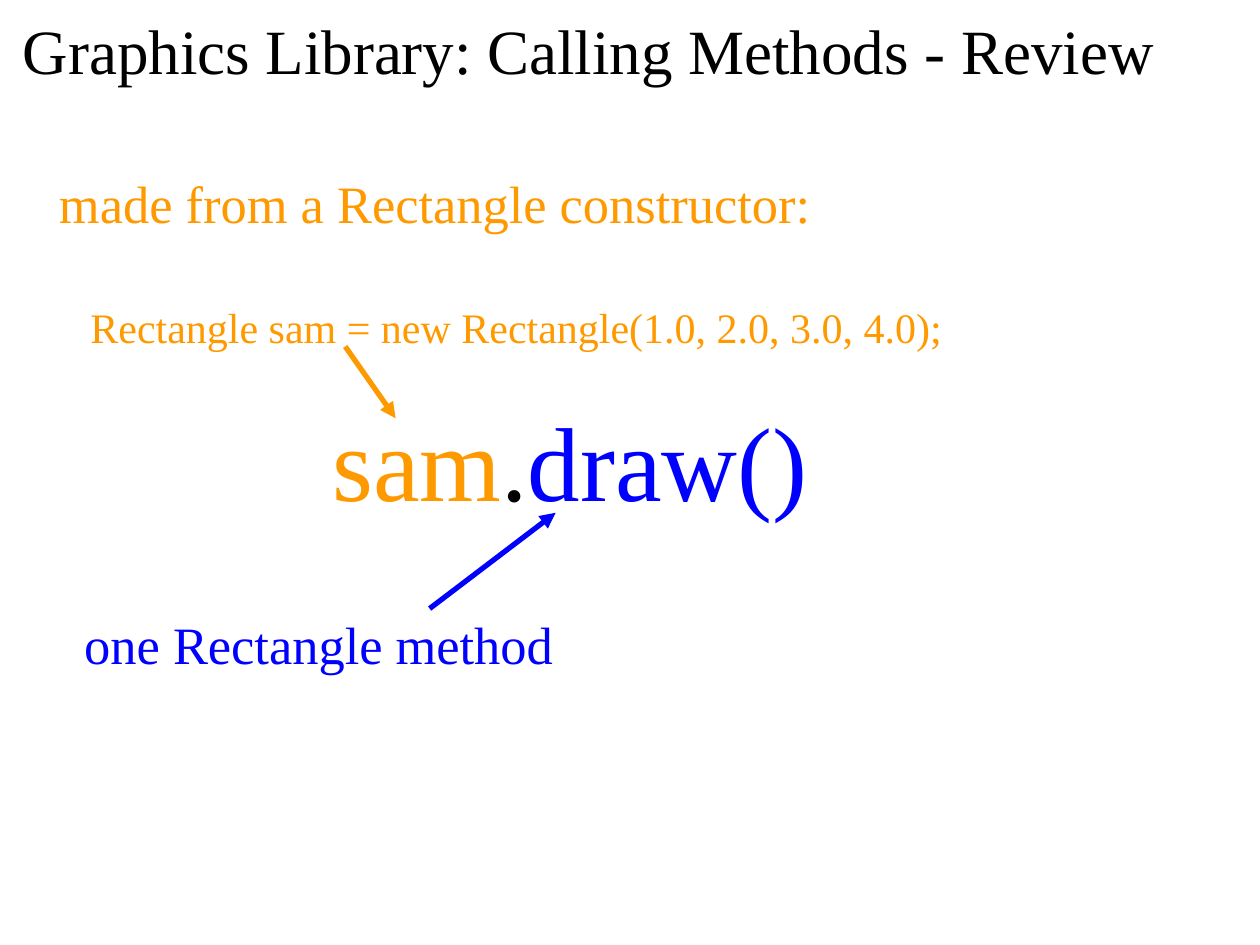
from lxml import etree
from pptx import Presentation
from pptx.dml.color import RGBColor
from pptx.enum import shapes, text
from pptx.oxml.ns import qn
from pptx.util import Inches, Pt

COLORS = {"title": "000000", "object": "FF9900", "method": "0000FF"}


class SlideBuilder:
    font = "Times New Roman"
    line_spacing = 1.09
    arrow_width = Pt(3)

    def __init__(self, presentation):
        layout = presentation.slide_layouts.get_by_name("Title Only")
        self.slide = presentation.slides.add_slide(layout)

    def set_frame(self, shape, box, inset):
        shape.left, shape.top, shape.width, shape.height = map(Inches, box)
        frame = shape.text_frame
        frame.word_wrap = True
        frame.auto_size = text.MSO_AUTO_SIZE.NONE
        frame.vertical_anchor = text.MSO_ANCHOR.TOP
        frame.margin_left = frame.margin_right = Inches(0.1)
        frame.margin_top = frame.margin_bottom = Inches(inset)
        return frame

    def add_runs(self, paragraph, size, runs):
        paragraph.alignment = text.PP_ALIGN.LEFT
        paragraph.line_spacing = self.line_spacing
        for words, color in runs:
            run = paragraph.add_run()
            run.text = words
            run.font.name = self.font
            run.font.size = Pt(size)
            run.font.color.rgb = RGBColor.from_string(COLORS[color])

    def title(self, box, size, words):
        frame = self.set_frame(self.slide.shapes.title, box, 0.05)
        self.add_runs(frame.paragraphs[0], size, [(words, "title")])

    def text_box(self, box, size, runs):
        shape = self.slide.shapes.add_textbox(*map(Inches, box))
        frame = self.set_frame(shape, box, 0.1)
        self.add_runs(frame.paragraphs[0], size, runs)
        return frame

    def code_line(self, frame, size, words, color):
        paragraph = frame.add_paragraph()
        properties = paragraph._p.get_or_add_pPr()
        properties.set("marL", str(Inches(0.25)))
        paragraph.space_before = Pt(36)
        self.add_runs(paragraph, size, [(words, color)])

    def arrow(self, start, end, color):
        connector = self.slide.shapes.add_connector(
            shapes.MSO_CONNECTOR.STRAIGHT, *map(Inches, start + end))
        connector.line.width = self.arrow_width
        connector.line.color.rgb = RGBColor.from_string(COLORS[color])
        line = connector.line._get_or_add_ln()
        etree.SubElement(line, qn("a:tailEnd"), type="triangle")
        etree.SubElement(connector._element.spPr, qn("a:effectLst"))


def main():
    presentation = Presentation()
    presentation.slide_width = Inches(10)
    presentation.slide_height = Inches(7.5)
    builder = SlideBuilder(presentation)

    # Title
    builder.title((0.08, -0.01, 9.91, 1.01), 36,
                  "Graphics Library: Calling Methods - Review")

    # Method call in the centre
    builder.text_box((2.54, 2.96, 4.41, 0.94), 60,
                     [("sam", "object"), (".", "title"), ("draw()", "method")])

    # Explanations of the object and the method
    constructor = builder.text_box(
        (0.37, 1.21, 7.27, 0.94), 30,
        [("made from a Rectangle constructor:", "object")])
    builder.code_line(constructor, 24,
                      "Rectangle sam = new Rectangle(1.0, 2.0, 3.0, 4.0);",
                      "object")
    builder.text_box((0.57, 4.71, 7.08, 0.94), 30,
                     [("one Rectangle method", "method")])

    # Arrows to the parts of the call
    builder.arrow((2.74, 2.75), (3.14, 3.32), "object")
    builder.arrow((3.41, 4.83), (4.41, 4.07), "method")

    presentation.save("out.pptx")


if __name__ == "__main__":
    main()
